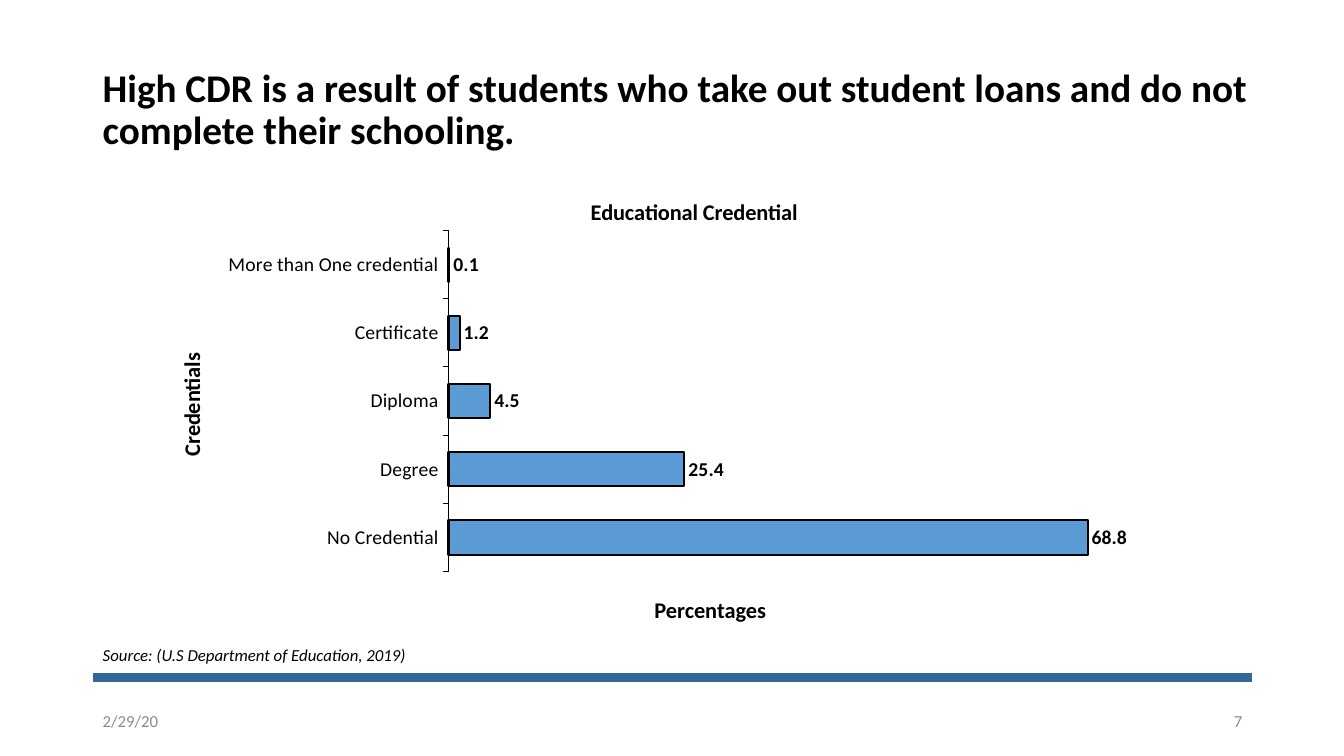
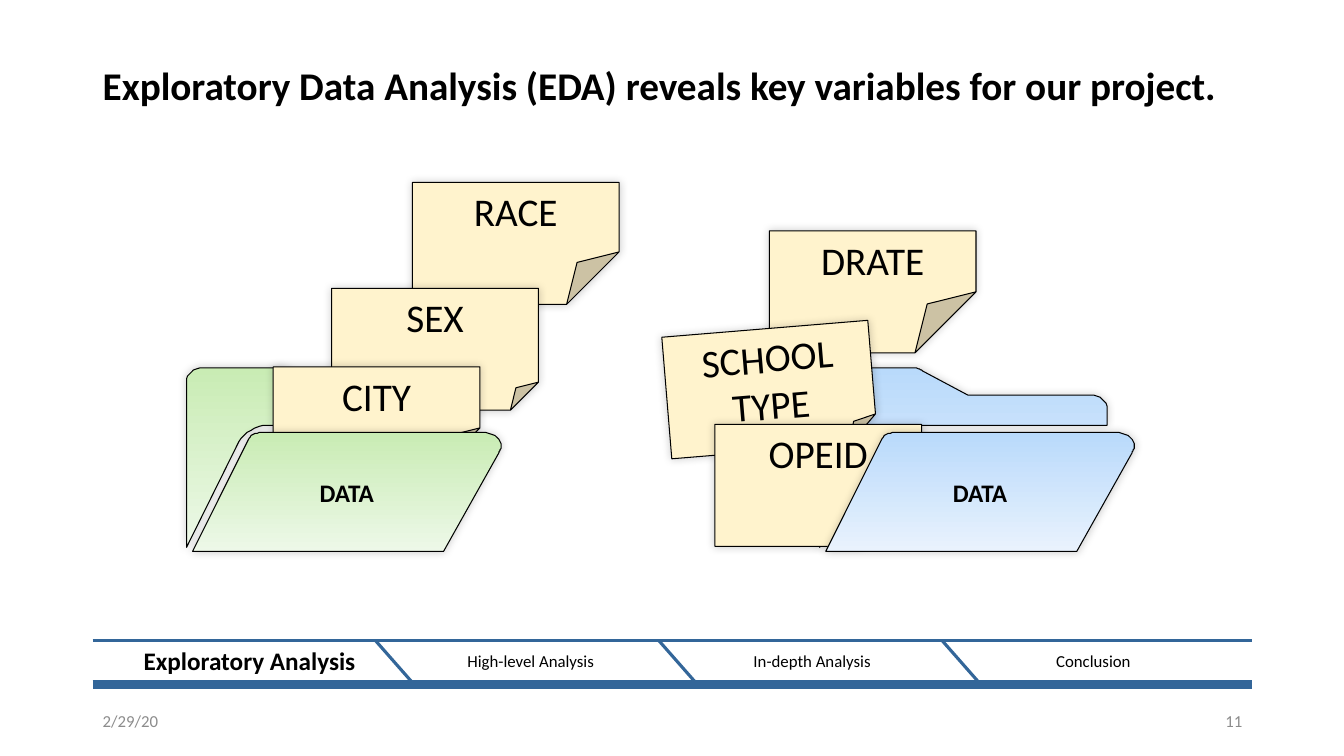
"""Build two slides on student loan default: a credential chart and the key variables."""
from collections import namedtuple

from lxml.etree import SubElement
from pptx import Presentation
from pptx.chart.data import CategoryChartData
from pptx.dml.color import RGBColor
from pptx.enum.chart import XL_CHART_TYPE as ChartType
from pptx.enum.chart import XL_LABEL_POSITION as LabelPosition
from pptx.enum.chart import XL_TICK_LABEL_POSITION as TickLabels
from pptx.enum.chart import XL_TICK_MARK as TickMark
from pptx.enum.shapes import MSO_CONNECTOR as Connector
from pptx.enum.shapes import MSO_SHAPE as Preset
from pptx.enum.text import MSO_ANCHOR as Anchor
from pptx.enum.text import PP_ALIGN as Align
from pptx.oxml import parse_xml
from pptx.oxml.ns import nsdecls, qn
from pptx.util import Pt

PX = 9144
FONT = "Calibri"
COLORS = {
    "ink": "000000",
    "muted": "8C8C8C",
    "rule": "336699",
    "bar": "5B9BD5",
    "note": "FFF3CD",
    "green_top": "C9ECB4",
    "green_bottom": "EDF8E8",
    "blue_top": "B9DAFB",
    "blue_bottom": "E9F2FD",
}
Box = namedtuple("Box", "left top width height")
CONTENT = Box(92, 48, 1150, 647)

FOLDER_BACK = [
    (81, 57), (285, 57), (285, 41), (285, 33, 278, 27, 269, 27), (147, 27),
    (102, 3), (99, 1, 96, 0, 93, 0), (16, 0), (7, 0, 0, 6, 0, 14),
    (0, 178), (52, 73), (57, 64, 68, 57, 81, 57),
]
FOLDER_FRONT = [
    (312, 78), (312, 71, 306, 65, 297, 64), (75, 64), (68, 64, 63, 67, 61, 72),
    (6, 182), (255, 182), (310, 84), (311, 82, 312, 80, 312, 78),
]


def color(name):
    """Return a named colour."""
    return RGBColor.from_string(COLORS[name])


def emu(box):
    """Return the four lengths of a box in EMU."""
    return [length * PX for length in box]


def style_font(font, size, bold=False, italic=False, ink="ink"):
    """Set all properties of a font."""
    font.name, font.size, font.bold, font.italic = FONT, Pt(size), bold, italic
    font.color.rgb = color(ink)


def fill_frame(frame, text, size, align=Align.LEFT, spacing=None, **style):
    """Put one styled paragraph into a text frame."""
    frame.text = text
    para = frame.paragraphs[0]
    para.alignment = align
    if spacing:
        para.line_spacing = spacing
    style_font(para.font, size, **style)


def add_text(page, box, text, size, anchor=Anchor.MIDDLE, wrap=True, **style):
    """Add a text box."""
    frame = page.shapes.add_textbox(*emu(box)).text_frame
    frame.word_wrap, frame.vertical_anchor = wrap, anchor
    fill_frame(frame, text, size, **style)
    return frame


def add_rule(page, start, end, weight):
    """Draw a flat coloured line between two points."""
    line = page.shapes.add_connector(Connector.STRAIGHT, *emu(start + end))
    line.line.color.rgb = color("rule")
    line.line.width = Pt(weight)
    SubElement(line.element.spPr, qn("a:effectLst"))


def add_frame(page, title, title_height, number, rule_top):
    """Add the title, bottom rule, date and page number that all slides share."""
    left, top, width, _ = CONTENT
    add_text(page, Box(left, top, width + 5, title_height), title, 28,
             anchor=Anchor.BOTTOM, bold=True, spacing=0.9)
    add_rule(page, (left, rule_top), (left + width, rule_top), 6)
    for offset, text, align in ((0, "2/29/20", Align.LEFT),
                                (width - 300, number, Align.RIGHT)):
        add_text(page, Box(left + offset, 695, 300, 40), text, 12,
                 align=align, ink="muted")


def set_layout(element, index, **values):
    """Fix the place of a chart part, as fractions of the chart."""
    for old in element.findall(qn("c:layout")):
        element.remove(old)
    target = '<c:layoutTarget val="inner"/>' if "w" in values else ""
    modes = "".join(f'<c:{key}Mode val="edge"/>' for key in "xy")
    sizes = "".join(f'<c:{key} val="{value}"/>' for key, value in values.items())
    element.insert(index, parse_xml(
        f'<c:layout {nsdecls("c")}><c:manualLayout>{target}{modes}{sizes}'
        '</c:manualLayout></c:layout>'))


def set_chart_title(title, text, x, y):
    """Write and place a chart or axis title."""
    fill_frame(title.text_frame, text, 16, align=Align.CENTER, bold=True)
    set_layout(title.element, 1, x=x, y=y)


def add_credential_chart(page, box):
    """Add the bar chart of credentials."""
    data = CategoryChartData()
    data.categories = ["No Credential", "Degree", "Diploma", "Certificate",
                       "More than One credential"]
    data.add_series("Series 1", [68.8, 25.4, 4.5, 1.2, 0.1])
    chart = page.shapes.add_chart(ChartType.BAR_CLUSTERED, *emu(box), data).chart
    chart.has_legend = False
    style_font(chart.font, 14)
    chart.has_title = True
    set_chart_title(chart.chart_title, "Educational Credential", 0.41, 0.06)
    set_layout(chart.plots[0]._element.getparent(), 0,
               x=0.28, y=0.14, w=0.7, h=0.72)

    credentials, percentages = chart.category_axis, chart.value_axis
    set_chart_title(credentials.axis_title, "Credentials", 0.02, 0.39)
    credentials.axis_title.text_frame._txBody.bodyPr.set("rot", "-5400000")
    credentials.major_tick_mark = TickMark.OUTSIDE
    credentials.format.line.color.rgb = color("ink")
    credentials.format.line.width = Pt(0.75)
    style_font(credentials.tick_labels.font, 14)

    set_chart_title(percentages.axis_title, "Percentages", 0.47, 0.9)
    percentages.minimum_scale, percentages.maximum_scale = 0, 80
    percentages.has_major_gridlines = False
    percentages.major_tick_mark = TickMark.NONE
    percentages.tick_label_position = TickLabels.NONE
    percentages.format.line.fill.background()

    plot = chart.plots[0]
    plot.gap_width, plot.vary_by_categories = 100, False
    bars = plot.series[0].format
    bars.fill.solid()
    bars.fill.fore_color.rgb = color("bar")
    bars.line.color.rgb = color("ink")
    bars.line.width = Pt(1.5)
    plot.has_data_labels = True
    labels = plot.data_labels
    labels.show_value, labels.position = True, LabelPosition.OUTSIDE_END
    labels.number_format, labels.number_format_is_linked = "General", False
    style_font(labels.font, 14, bold=True)


def outline_paper(shape):
    """Give a shape a thin outline and a soft shadow."""
    shape.line.color.rgb = color("ink")
    shape.line.width = Pt(0.75)
    shape.shadow.inherit = False
    shape.element.spPr.find(qn("a:effectLst")).append(parse_xml(
        f'<a:outerShdw {nsdecls("a")} blurRad="76200" dist="0" dir="13500000">'
        f'<a:srgbClr val="{COLORS["ink"]}"><a:alpha val="20000"/></a:srgbClr>'
        '</a:outerShdw>'))


def trace(outline, steps=8):
    """Turn corners and cubic curves into a list of points."""
    points = [outline[0]]
    for segment in outline[1:]:
        if len(segment) == 2:
            points.append(segment)
            continue
        controls = [points[-1], segment[:2], segment[2:4], segment[4:]]
        for step in range(1, steps + 1):
            t = step / steps
            weights = ((1 - t) ** 3, 3 * t * (1 - t) ** 2, 3 * t * t * (1 - t), t ** 3)
            points.append(tuple(sum(weight * control[axis] for weight, control
                                    in zip(weights, controls)) for axis in (0, 1)))
    return points


def add_panel(page, left, top, outline, hue):
    """Add one gradient panel of a folder."""
    points = trace(outline)
    builder = page.shapes.build_freeform(*points[0], scale=PX)
    builder.add_line_segments(points[1:], close=True)
    panel = builder.convert_to_shape(left * PX, top * PX)
    panel.fill.gradient()
    panel.fill.gradient_angle = 270
    for stop, end in zip(panel.fill.gradient_stops, ("top", "bottom")):
        stop.color.rgb = color(f"{hue}_{end}")
    outline_paper(panel)
    return panel


def add_note(page, box, text, fold, turn):
    """Add a sheet with a folded corner."""
    note = page.shapes.add_shape(Preset.FOLDED_CORNER, *emu(box))
    geometry = note.element.spPr.find(qn("a:prstGeom"))
    SubElement(geometry.find(qn("a:avLst")), qn("a:gd"),
               name="adj", fmla=f"val {round(fold * 100000)}")
    note.rotation = turn
    note.fill.solid()
    note.fill.fore_color.rgb = color("note")
    outline_paper(note)
    note.text_frame.vertical_anchor = Anchor.TOP
    note.text_frame.word_wrap = True
    fill_frame(note.text_frame, text, 28, align=Align.CENTER)


def add_folder(page, left, top, hue, notes):
    """Add a folder with notes between its back and its front."""
    add_panel(page, left, top, FOLDER_BACK, hue)
    for text, across, down, fold, turn in notes:
        add_note(page, Box(left + across, top + down, 205, 121), text, fold, turn)
    frame = add_panel(page, left, top, FOLDER_FRONT, hue).text_frame
    frame.vertical_anchor = Anchor.MIDDLE
    fill_frame(frame, "DATA", 18, align=Align.CENTER, bold=True)


def add_steps(page, box, steps, current):
    """Add the progress strip with the current step in bold."""
    left, top, width, height = box
    add_rule(page, (left, top), (left + width, top), 2.25)
    for index, step in enumerate(steps):
        active = index == current
        frame = add_text(page, Box(left + 22 + 279 * index, top, 267, height), step,
                         18 if active else 12, bold=active,
                         align=Align.CENTER, spacing=0.9)
        frame.margin_left = frame.margin_right = 0
        if index:
            slash = left + 280 + 281 * (index - 1)
            add_rule(page, (slash, top), (slash + 36, top + 41), 2.25)


def build_credential_slide(page):
    """Show default by educational credential."""
    add_frame(page, "High CDR is a result of students who take out student loans "
              "and do not complete their schooling.", 109, "7", 672)
    add_credential_chart(page, Box(150, 163, 1053, 470))
    add_text(page, Box(CONTENT.left, 635, 328, 30),
             "Source: (U.S Department of Education, 2019)", 12,
             anchor=Anchor.TOP, wrap=False, italic=True)


def build_variables_slide(page):
    """Show the key variables as notes in two folders."""
    add_frame(page, "Exploratory Data Analysis (EDA) reveals key variables "
              "for our project.", 65, "11", 679)
    add_steps(page, Box(CONTENT.left, 635, CONTENT.width, 44),
              ["Exploratory Analysis", "High-level Analysis",
               "In-depth Analysis", "Conclusion"], 0)
    add_folder(page, 185, 365, "green", [
        ("RACE", 224, -184, 0.43, 0),
        ("SEX", 144, -79, 0.23, 0),
        ("CITY", 86, -1, 0.5, 0),
    ])
    add_folder(page, 813, 365, "blue", [
        ("DRATE", -50, -136, 0.5, 0),
        ("SCHOOL TYPE", -152, -39, 0.23, 355.3),
        ("OPEID", -104, 56, 0.5, 0),
    ])


def main():
    """Build and save the deck."""
    deck = Presentation()
    deck.slide_width, deck.slide_height = 1333 * PX, 750 * PX
    for build in (build_credential_slide, build_variables_slide):
        build(deck.slides.add_slide(deck.slide_layouts[6]))
    deck.save("out.pptx")


if __name__ == "__main__":
    main()
